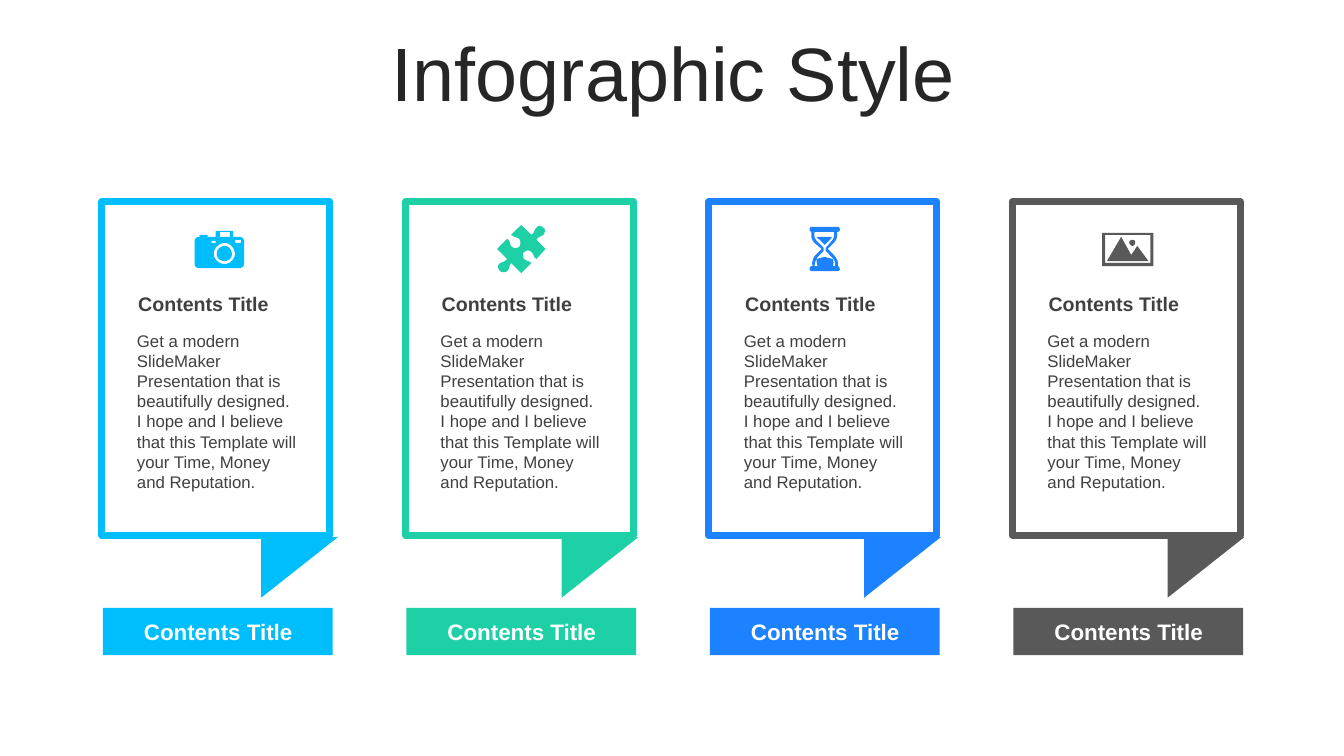
"""Build a slide of four speech-bubble cards with icons, texts and caption bars."""
import pptx
import pptx.dml.color
import pptx.enum.shapes
import pptx.enum.text
import pptx.util
from dataclasses import dataclass

Inches = pptx.util.Inches
RGB = pptx.dml.color.RGBColor.from_string
SHAPE = pptx.enum.shapes.MSO_SHAPE
ALIGN = pptx.enum.text.PP_ALIGN
MIDDLE = pptx.enum.text.MSO_ANCHOR.MIDDLE


@dataclass(frozen=True)
class Theme:
    font: str = "Arial"
    title: str = "262626"
    text: str = "404040"
    white: str = "FFFFFF"
    cyan: str = "00BDFB"
    green: str = "1ED0A6"
    blue: str = "1C82FF"
    grey: str = "595959"
    title_size: int = 54
    caption_size: int = 16
    heading_size: int = 14
    body_size: int = 12


theme = Theme()

CAMERA = [
    """223 244 C 227 244 230 248 230 252 C 230 256 227 259 223 259
    C 218 259 215 256 215 252 C 215 248 218 244 223 244""",
    """223 241 C 217 241 212 246 212 252 C 212 257 217 262 223 262
    C 228 262 233 257 233 252 C 233 246 228 241 223 241""",
    "210 239 L 210 241 L 214 241 L 214 239",
    "233 238 L 233 241 L 239 241 L 239 238",
    "218 230 L 218 235 L 228 235 L 228 230",
    """215 229 L 230 229 C 231 229 231 229 231 230 L 231 235 L 238 235
    C 240 235 242 237 242 239 L 242 262 C 242 264 240 266 238 266
    L 197 266 C 195 266 193 264 193 262 L 193 239 C 193 237 195 235 197 235
    L 198 235 L 198 233 L 206 233 L 206 235 L 214 235 L 214 230
    C 214 229 215 229 215 229""",
]

PUZZLE = [
    """539 226 C 541 227 541 230 539 233 C 537 235 534 234 532 238
    L 541 247 L 532 257 C 528 254 530 252 527 250 C 525 248 522 248 520 250
    C 518 251 518 255 520 257 C 523 260 524 258 527 261 L 517 271 L 507 261
    C 504 265 506 266 503 269 C 501 271 497 270 496 269
    C 494 267 493 264 495 262 C 498 259 500 261 503 257 L 493 247 L 503 237
    C 507 240 505 243 508 245 C 510 247 513 246 515 245
    C 516 243 517 240 515 237 C 512 235 511 236 507 233 L 517 223 L 527 233
    C 531 230 529 229 532 226 C 534 223 537 224 539 226""",
]

HOURGLASS = [
    """819 255 C 821 256 823 256 826 257 C 827 259 827 262 826 264
    L 811 264 C 810 262 810 259 810 257 C 814 256 816 255 819 255""",
    """810 235 L 825 235 C 825 236 824 237 824 237 L 818 243 L 812 237
    C 811 237 811 236 810 235""",
    """808 230 C 807 234 808 237 811 240 L 817 246 L 817 249 L 811 255
    C 809 258 808 261 808 264 L 828 264 C 829 261 828 258 825 255
    L 819 249 L 819 246 L 825 239 C 827 237 828 233 827 230""",
    """805 225 L 831 225 C 832 225 833 226 833 228 C 833 229 832 230 831 230
    L 830 230 C 831 234 830 238 827 241 L 821 247 L 827 253
    C 830 256 832 260 831 264 C 832 264 833 266 833 267
    C 833 268 832 269 831 269 L 805 269 C 804 269 803 268 803 267
    C 803 265 804 264 805 264 L 806 264 C 805 261 806 256 809 253
    L 815 247 L 809 242 C 805 239 804 234 805 230 C 804 230 803 229 803 228
    C 803 226 804 225 805 225""",
]

PHOTO = [
    """1123 238 C 1125 238 1126 239 1126 241 C 1126 242 1125 244 1123 244
    C 1122 244 1120 242 1120 241 C 1120 239 1122 238 1123 238""",
    "1112 235 L 1122 253 L 1128 244 L 1139 259 L 1098 259",
    "1096 233 L 1096 261 L 1141 261 L 1141 233",
    "1093 231 L 1144 231 L 1144 264 L 1093 264",
]


def add_text(s, box, text, size, color, bold=False, align=None, inset=0.1):
    tf = s.shapes.add_textbox(*map(Inches, box)).text_frame
    tf.word_wrap = True
    tf.auto_size = pptx.enum.text.MSO_AUTO_SIZE.SHAPE_TO_FIT_TEXT
    tf.margin_left = tf.margin_right = Inches(inset)
    p = tf.paragraphs[0]
    p.alignment = align
    r = p.add_run()
    r.text = text
    r.font.name, r.font.size, r.font.bold = theme.font, pptx.util.Pt(size), bold
    r.font.color.rgb = RGB(color)


def add_icon(s, contours, color, steps=6):
    """Draw contours given in hundredths of an inch, turning curves into short lines."""
    builder = None
    for contour in contours:
        tokens = contour.split()
        points = [(float(tokens[0]), float(tokens[1]))]
        i = 2
        while i < len(tokens):
            count = 6 if tokens[i] == "C" else 2
            nums = [float(n) for n in tokens[i + 1:i + 1 + count]]
            i += count + 1
            if count == 2:
                points.append(tuple(nums))
                continue
            start = points[-1]
            for k in range(1, steps + 1):
                t = k / steps
                u = 1 - t
                points.append(tuple(
                    u**3 * start[a] + 3 * u * u * t * nums[a]
                    + 3 * u * t * t * nums[a + 2] + t**3 * nums[a + 4]
                    for a in (0, 1)))
        points = [(Inches(x / 100), Inches(y / 100)) for x, y in points]
        if builder is None:
            builder = s.shapes.build_freeform(*points[0])
        else:
            builder.move_to(*points[0])
        builder.add_line_segments(points[1:], close=True)
    sp = builder.convert_to_shape()
    sp.shadow.inherit = False
    sp.fill.solid()
    sp.fill.fore_color.rgb = RGB(color)
    sp.line.fill.background()


prs = pptx.Presentation()
prs.slide_width, prs.slide_height = Inches(13.33), Inches(7.5)
s = prs.slides.add_slide(prs.slide_layouts[5])

title = s.shapes.title
title.left, title.top, title.width, title.height = map(Inches, (0.35, 0.37, 12.66, 0.79))
tf = title.text_frame
tf.vertical_anchor = MIDDLE
p = tf.paragraphs[0]
p.alignment, p.line_spacing = ALIGN.CENTER, 0.9
r = p.add_run()
r.text = "Infographic Style"
r.font.name, r.font.size = theme.font, pptx.util.Pt(theme.title_size)
r.font.color.rgb = RGB(theme.title)

heading = "Contents Title"
body = ("Get a modern SlideMaker Presentation that is beautifully designed. "
        "I hope and I believe that this Template will your Time, Money and Reputation.")
cards = [(theme.cyan, CAMERA, 2.67), (theme.green, PUZZLE, 5.65),
         (theme.blue, HOURGLASS, 8.65), (theme.grey, PHOTO, 11.66)]

for col, (color, icon, tail_left) in enumerate(cards):
    left = 1.01 + 3.01 * col

    tail = s.shapes.add_shape(SHAPE.ISOSCELES_TRIANGLE, Inches(tail_left), Inches(5.25),
                              Inches(0.6), Inches(0.76))
    tail.adjustments[0] = 0
    tail.rotation = 90
    bar = s.shapes.add_shape(SHAPE.RECTANGLE, Inches(left + 0.01), Inches(6.03),
                             Inches(2.28), Inches(0.47))
    for sp in (tail, bar):
        sp.shadow.inherit = False
        sp.fill.solid()
        sp.fill.fore_color.rgb = RGB(color)
        sp.line.fill.background()

    card = s.shapes.add_shape(SHAPE.RECTANGLE, Inches(left), Inches(2), Inches(2.26), Inches(3.31))
    card.shadow.inherit = False
    card.fill.background()
    card.line.color.rgb = RGB(color)
    card.line.width = pptx.util.Pt(5)

    add_text(s, (left + 0.25, 3.23, 1.79, 1.72), body, theme.body_size, theme.text)
    add_text(s, (left + 0.24, 2.85, 1.79, 0.34), heading, theme.heading_size, theme.text,
             bold=True, inset=0.12)
    add_text(s, (left + 0.17, 6.08, 1.97, 0.37), heading, theme.caption_size, theme.white,
             bold=True, align=ALIGN.CENTER, inset=0.12)
    add_icon(s, icon, color)

prs.save("out.pptx")
